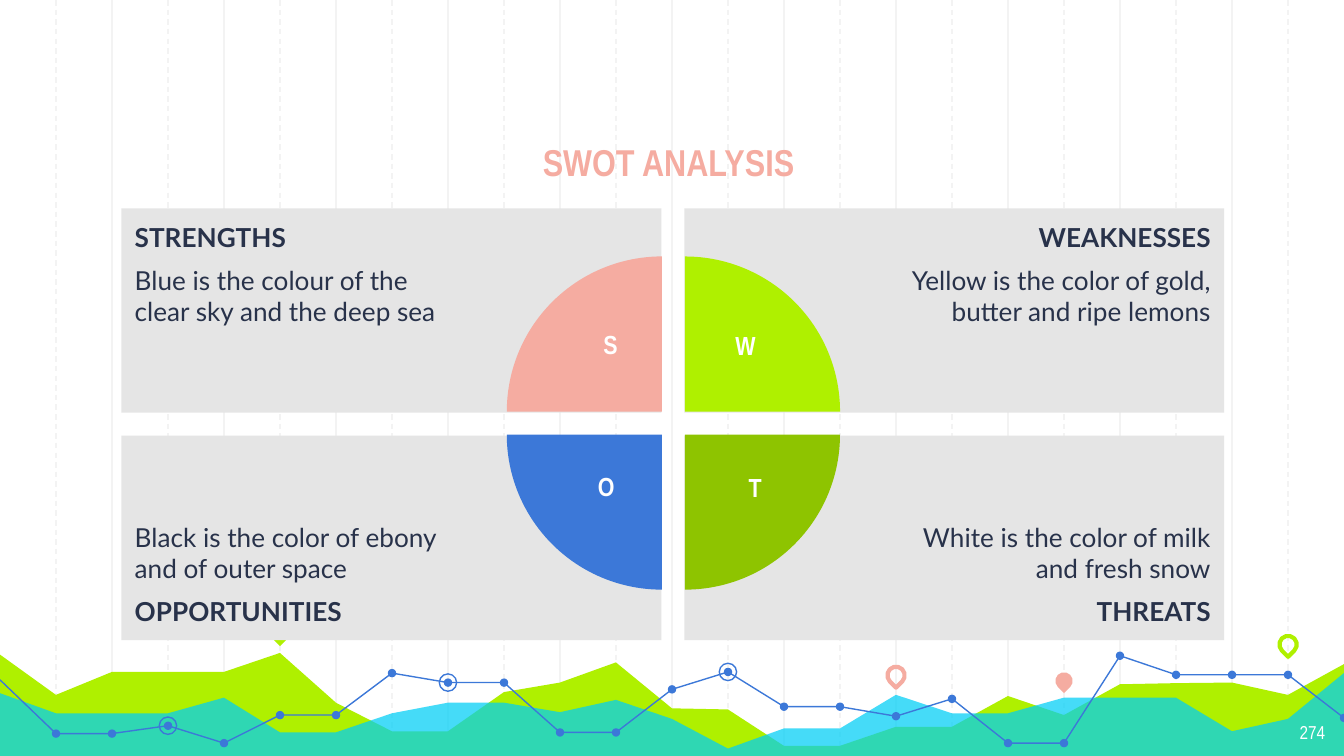
from lxml import etree
from pptx import Presentation, util as u
from pptx.dml.color import RGBColor
from pptx.enum import dml, shapes, text
from pptx.oxml import ns

COLORS = {
    "white": "FFFFFF", "grid": "F3F3F3", "panel": "E5E5E5", "ink": "28324A",
    "lime": "AFF000", "olive": "8EC400", "cyan": "00CEF6", "pink": "F5ACA1", "blue": "3C78D8",
}
SHAPE = shapes.MSO_SHAPE
ALIGN = text.PP_ALIGN
ANCHOR = text.MSO_ANCHOR
COLUMNS, ROWS = 24, 13.5
INSET = 0.24
WIDE_INSET = 3.6
GAP = 0.41
HEADING = {"name": "Arial Narrow", "bold": True}
BODY = {"name": "Lato", "size": u.Pt(14)}

GREEN_ROWS = [11.69, 12.41, 12, 12, 12, 11.66, 12.55, 13.06, 13.06, 12.36, 12.19, 11.83, 12.65,
              12.67, 13.32, 13.32, 12.98, 12.98, 12.43, 12.77, 12.22, 12.2, 12.19, 12.41, 11.86]
CYAN_ROWS = [12.38, 12.74, 12.74, 12.74, 12.46, 13.08, 13.08, 12.74, 12.55, 12.55, 12.72, 12.5, 12.84,
             13.37, 13.01, 13.01, 12.41, 12.74, 12.74, 12.46, 12.46, 12.46, 13.06, 12.84, 12.02]
TREND_ROWS = [12.14, 13.1, 13.1, 12.96, 13.27, 12.77, 12.77, 12.02, 12.19, 12.19, 13.08, 13.08, 12.31,
              12, 12.62, 12.62, 12.79, 12.48, 13.27, 13.27, 11.71, 12.05, 12.05, 12.05, 12.82]


class SwotPage:
    """Draws styled elements on one slide, measured in grid columns and rows."""

    def __init__(self, deck):
        self.page = deck.slides.add_slide(deck.slide_layouts[6])
        self.unit = deck.slide_width / COLUMNS

    def emu(self, *cells):
        return [u.Emu(round(cell * self.unit)) for cell in cells]

    def apply(self, target, values):
        for name, value in values.items():
            setattr(target, name, value)

    def paint(self, item, fill=None, line=None, weight=0.75):
        item.shadow.inherit = False
        if fill:
            item.fill.solid()
            item.fill.fore_color.rgb = RGBColor.from_string(COLORS[fill])
        else:
            item.fill.background()
        if line:
            item.line.color.rgb = RGBColor.from_string(COLORS[line])
            item.line.width = u.Pt(weight)
        else:
            item.line.fill.background()
        return item

    def guide(self, column, dashed):
        ends = self.emu(column, 0, column, ROWS)
        line = self.page.shapes.add_connector(shapes.MSO_CONNECTOR.STRAIGHT, *ends)
        line.line.color.rgb = RGBColor.from_string(COLORS["grid"])
        line.line.width = u.Pt(0.75)
        if dashed:
            line.line.dash_style = dml.MSO_LINE.DASH
        etree.SubElement(line._element.spPr, ns.qn("a:effectLst"))

    def outline(self, points, closed, **paint):
        start, *rest = [self.emu(*point) for point in points]
        builder = self.page.shapes.build_freeform(*start)
        builder.add_line_segments(rest, close=closed)
        return self.paint(builder.convert_to_shape(), **paint)

    def area(self, rows, fill, alpha=None):
        base = [(COLUMNS, ROWS), (0, ROWS)]
        item = self.outline([*enumerate(rows), *base], True, fill=fill)
        if alpha:
            color = item._element.spPr.find(".//" + ns.qn("a:srgbClr"))
            etree.SubElement(color, ns.qn("a:alpha"), val=str(alpha * 1000))

    def shape(self, kind, left, top, width, height, **paint):
        box = self.page.shapes.add_shape(kind, *self.emu(left, top, width, height))
        return self.paint(box, **paint)

    def marker(self, kind, column, row, size, rotation=0, **paint):
        box = self.shape(kind, column - size / 2, row - size / 2, size, size, **paint)
        box.rotation = rotation

    def fill_text(self, box, lines, color, align, frame):
        self.apply(box.text_frame, frame)
        for index, (words, font) in enumerate(lines):
            para = box.text_frame.paragraphs[0] if index == 0 else box.text_frame.add_paragraph()
            self.apply(para, {"alignment": align})
            if index:
                self.apply(para, {"space_before": u.Pt(6), "space_after": u.Pt(6)})
            span = para.add_run()
            span.text = words
            self.apply(span.font, font)
            span.font.color.rgb = RGBColor.from_string(COLORS[color])

    def insets(self, left=INSET, right=INSET):
        names = ("margin_left", "margin_top", "margin_right", "margin_bottom")
        return dict(zip(names, self.emu(left, INSET, right, INSET)))

    def label(self, words, place, font, color, align, **frame):
        box = self.page.shapes.add_textbox(*self.emu(*place))
        self.fill_text(box, [(words, font)], color, align, frame)

    def panel(self, right, low, heading, words):
        box = self.shape(SHAPE.RECTANGLE, 2.17 + right * 10.05, 3.72 + low * 4.06, 9.64, 3.65, fill="panel")
        lines = [(heading, {**BODY, "bold": True}), (words, {**BODY, "bold": False})]
        margins = self.insets(left=WIDE_INSET) if right else self.insets(right=WIDE_INSET)
        anchor = ANCHOR.BOTTOM if low else ANCHOR.TOP
        frame = {**margins, "word_wrap": True, "vertical_anchor": anchor}
        align = ALIGN.RIGHT if right else ALIGN.LEFT
        self.fill_text(box, lines[::-1] if low else lines, "ink", align, frame)

    def quarter(self, right, low, rotation, fill):
        pie = self.shape(SHAPE.PIE, 9.05 + right * GAP, 4.58 + low * GAP, 5.54, 5.54, fill=fill)
        pie.adjustments[0], pie.adjustments[1] = 108, 162
        pie.rotation = rotation


def main():
    deck = Presentation()
    deck.slide_width, deck.slide_height = u.Inches(10), u.Inches(5.625)
    page = SwotPage(deck)

    for column in [*range(2, COLUMNS, 2), *range(1, COLUMNS, 2)]:
        page.guide(column, dashed=column % 2 == 1)
    page.area(GREEN_ROWS, "lime")
    page.area(CYAN_ROWS, "cyan", alpha=73)

    trend = list(enumerate(TREND_ROWS))
    for first, last in [(0, 11), (11, 20), (20, 24)]:
        page.outline(trend[first:last + 1], False, line="blue")
    for column, row in trend[1:]:
        page.marker(SHAPE.OVAL, column, row, 0.15, fill="blue")
    for column in (8, 3, 13):
        page.marker(SHAPE.OVAL, *trend[column], 0.31, line="blue")
    for column, row, paint in [
        (5, 11.32, {"fill": "lime"}),
        (16, 12.06, {"line": "pink", "weight": 2.25}),
        (19, 12.16, {"fill": "pink"}),
        (23, 11.51, {"line": "lime", "weight": 2.25}),
    ]:
        page.marker(SHAPE.TEAR, column, row, 0.31, rotation=135, **paint)

    page.label("SWOT ANALYSIS", (2.76, 1.66, 18.36, 1.87), {**HEADING, "size": u.Pt(20)}, "pink",
               ALIGN.CENTER, word_wrap=True, vertical_anchor=ANCHOR.BOTTOM, **page.insets())
    page.label("274", (22.46, 12.67, 1.44, 0.84), {"name": "Arial Narrow", "size": u.Pt(10)}, "white",
               ALIGN.RIGHT, word_wrap=True, **page.insets())

    for panel in [
        (0, 0, "STRENGTHS", "Blue is the colour of the clear sky and the deep sea"),
        (1, 0, "WEAKNESSES", "Yellow is the color of gold, butter and ripe lemons"),
        (0, 1, "OPPORTUNITIES", "Black is the color of ebony and of outer space"),
        (1, 1, "THREATS", "White is the color of milk and fresh snow"),
    ]:
        page.panel(*panel)
    for quarter in [(0, 0, 0, "pink"), (1, 0, 90, "lime"), (1, 1, 180, "olive"), (0, 1, 270, "blue")]:
        page.quarter(*quarter)
    for letter, place in {
        "S": (10.54, 5.74, 0.62, 1.18),
        "W": (12.86, 5.76, 0.91, 1.15),
        "O": (10.44, 8.28, 0.7, 1.18),
        "T": (13.13, 8.3, 0.6, 1.15),
    }.items():
        page.label(letter, place, {**HEADING, "size": u.Pt(14)}, "white", ALIGN.CENTER, word_wrap=False)

    deck.save("out.pptx")


if __name__ == "__main__":
    main()
